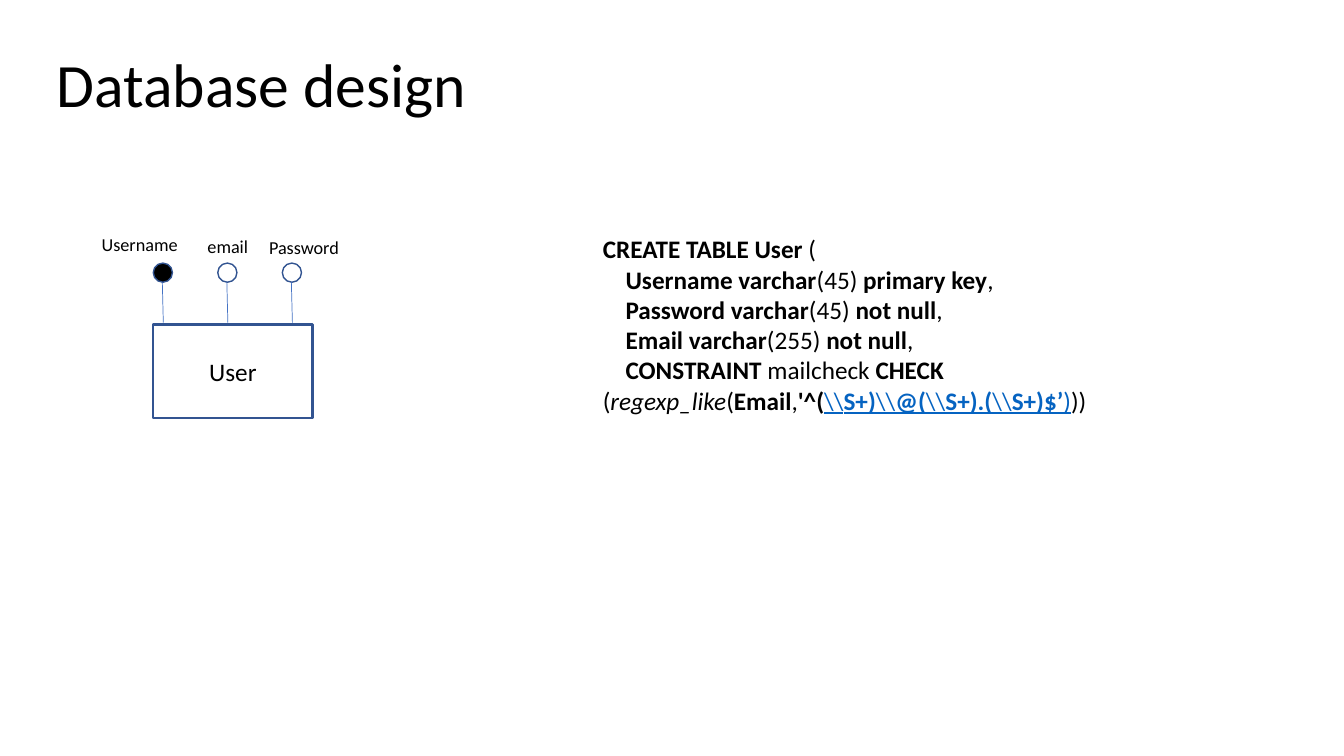
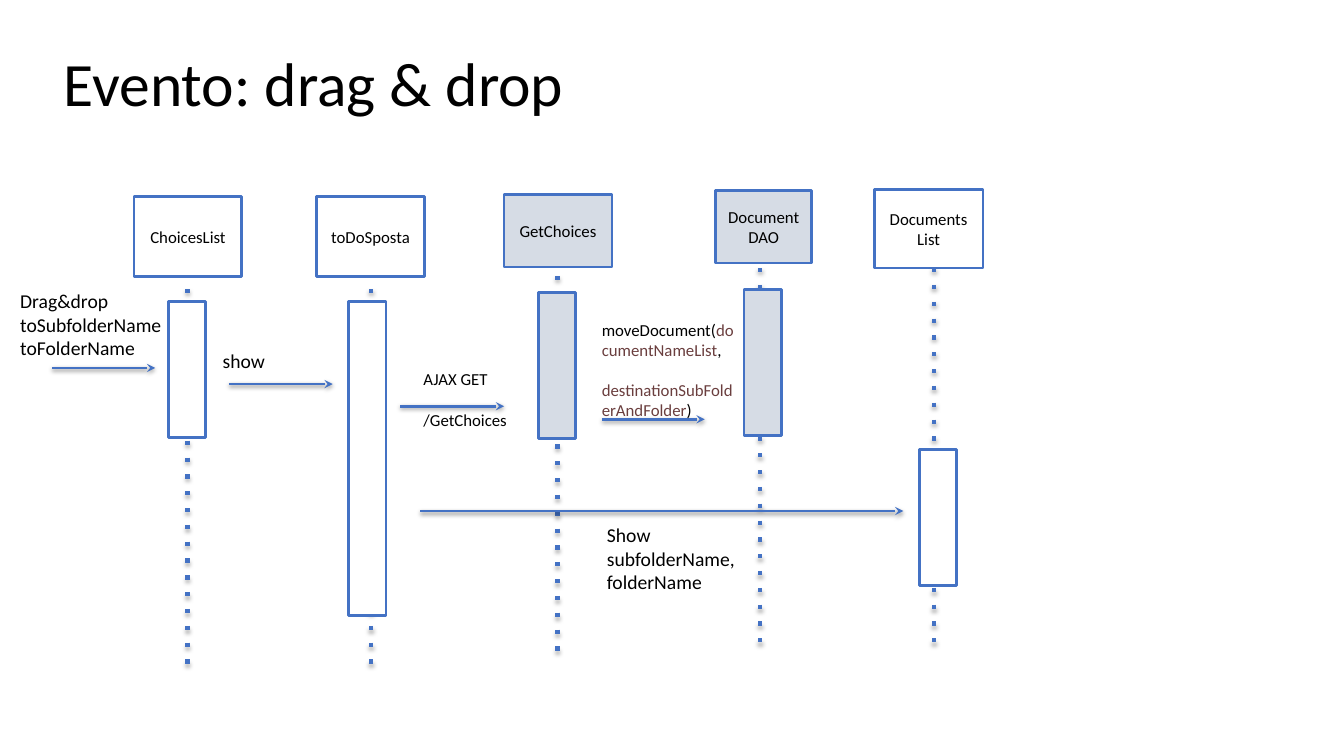
from lxml.etree import SubElement
from pptx import Presentation
from pptx.dml.color import RGBColor
from pptx.enum.shapes import MSO_CONNECTOR, MSO_SHAPE
from pptx.enum.text import MSO_ANCHOR, PP_ALIGN
from pptx.oxml import parse_xml
from pptx.oxml.ns import nsdecls, qn
from pptx.util import Inches, Pt

FONT = "Calibri"
COLORS = {
    name: RGBColor.from_string(value)
    for name, value in {
        "text": "000000",
        "paper": "FFFFFF",
        "server": "D6DCE5",
        "stroke": "4472C4",
        "entity": "325491",
        "link": "0563C1",
        "parameter": "6A3E3E",
    }.items()
}


def add_box(slide, kind, at, fill, stroke, width, text="", size=12):
    """Add an outlined shape, with centred text if there is any."""
    box = slide.shapes.add_shape(kind, *map(Inches, at))
    box.shadow.inherit = False
    if fill:
        box.fill.solid()
        box.fill.fore_color.rgb = COLORS[fill]
    else:
        box.fill.background()
    box.line.color.rgb = COLORS[stroke]
    box.line.width = Pt(width)
    if text:
        frame = box.text_frame
        frame.word_wrap = True
        frame.vertical_anchor = MSO_ANCHOR.MIDDLE
        frame.margin_left = frame.margin_right = Inches(0.12)
        frame.margin_top = frame.margin_bottom = Inches(0.06)
        paragraph = frame.paragraphs[0]
        paragraph.text = text
        paragraph.alignment = PP_ALIGN.CENTER
        paragraph.font.name = FONT
        paragraph.font.size = Pt(size)
        paragraph.font.color.rgb = COLORS["text"]


def add_line(slide, start, end, width, dotted=False, arrow=False):
    """Add a line; dotted lines and arrows cast a soft shadow."""
    line = slide.shapes.add_connector(
        MSO_CONNECTOR.STRAIGHT, *map(Inches, (*start, *end)))
    line.line.color.rgb = COLORS["stroke"]
    line.line.width = Pt(width)
    properties = line.element.spPr
    outline = properties.find(qn("a:ln"))
    if dotted:
        SubElement(outline, qn("a:prstDash"), val="dot")
    if arrow:
        SubElement(outline, qn("a:tailEnd"), type="stealth")
    shadow = ""
    if dotted or arrow:
        distance, alpha = (Pt(1.8), 35000) if dotted else (Pt(1.6), 38000)
        shadow = (
            f'<a:outerShdw blurRad="{Pt(3.1)}" dist="{distance}" dir="5400000" rotWithShape="0">'
            f'<a:srgbClr val="000000"><a:alpha val="{alpha}"/></a:srgbClr></a:outerShdw>')
    properties.append(parse_xml(f'<a:effectLst {nsdecls("a")}>{shadow}</a:effectLst>'))


prs = Presentation()
prs.slide_width, prs.slide_height = Inches(13.33), Inches(7.5)

slides = []
for heading, left, top in (("Database design", 0.46, 0.14), ("Evento: drag & drop", 0.53, 0.13)):
    slide = prs.slides.add_slide(prs.slide_layouts[5])
    title = slide.shapes.title
    title.left, title.top = Inches(left), Inches(top)
    title.width, title.height = Inches(11.5), Inches(1.45)
    title.text_frame.text = heading
    title.text_frame.vertical_anchor = MSO_ANCHOR.MIDDLE
    paragraph = title.text_frame.paragraphs[0]
    paragraph.alignment = PP_ALIGN.LEFT
    paragraph.line_spacing = 0.9
    paragraph.font.name = FONT
    paragraph.font.size = Pt(44)
    paragraph.font.color.rgb = COLORS["text"]
    slides.append(slide)
database, sequence = slides

# Entity with its three attributes
add_box(database, MSO_SHAPE.RECTANGLE, (1.52, 3.22, 1.58, 0.93), None, "entity", 1.5, "User", 18)
for column, fill in enumerate(("text", None, None)):
    left = 1.52 + 0.64 * column
    add_box(database, MSO_SHAPE.OVAL, (left, 2.61, 0.19, 0.19), fill, "entity", 1)
    add_line(database, (left + 0.09, 2.8), (left + 0.1, 3.2), 0.5)

# Participants: name, fill, header, lifeline x and top, activation bar
LIFELINE_LENGTH, BAR_WIDTH = 3.78, 0.37
participants = [
    ("ChoicesList", "paper", (1.33, 1.95, 1.07, 0.79), (1.86, 2.87), (1.67, 2.99, 1.35)),
    ("toDoSposta", "paper", (3.14, 1.95, 1.07, 0.79), (3.68, 2.87), (3.46, 2.99, 3.12)),
    ("GetChoices", "server", (5, 1.93, 1.07, 0.72), (5.53, 2.74), (5.34, 2.9, 1.45)),
    ("DocumentDAO", "server", (7.1, 1.89, 0.95, 0.72), (7.54, 2.66), (7.38, 2.87, 1.45)),
    ("DocumentsList", "paper", (8.67, 1.88, 1.08, 0.78), (9.26, 2.66), (9.12, 4.46, 1.35)),
]
for name, fill, header, (x, top), (bar_left, bar_top, bar_height) in participants:
    add_box(sequence, MSO_SHAPE.RECTANGLE, header, fill, "stroke", 2, name)
    add_line(sequence, (x, top), (x, top + LIFELINE_LENGTH), 3, dotted=True)
    bar = (bar_left, bar_top, BAR_WIDTH, bar_height)
    add_box(sequence, MSO_SHAPE.RECTANGLE, bar, fill, "stroke", 2)

for start, end, y in (
    (0.52, 1.54, 3.65), (2.27, 3.3, 3.81), (3.97, 5, 4.03), (5.97, 6.99, 4.16), (4.17, 8.96, 5.07),
):
    add_line(sequence, (start, y), (end, y), 2, arrow=True)

# Texts: slide, place, size, side inset, space between paragraphs, paragraphs.
# A paragraph is a list of (text, style) runs.
sql = [
    [("CREATE TABLE User ", "bold"), ("(", "")],
    [("    ", ""), ("Username varchar", "bold"), ("(45) ", ""), ("primary key", "bold"), (",", "")],
    [("    ", ""), ("Password varchar", "bold"), ("(45) ", ""), ("not null", "bold"), (",", "")],
    [("    ", ""), ("Email varchar", "bold"), ("(255) ", ""), ("not null", "bold"), (",", "")],
    [("    ", ""), ("CONSTRAINT ", "bold"), ("mailcheck ", ""), ("CHECK    ", "bold"),
     ("(", ""), ("regexp_like", "italic"), ("(", ""), ("Email", "bold"), (",", ""),
     ("'^(", "bold"), ("\\\\", "link"), ("S+)", "bold link"), ("\\\\", "link"),
     ("@(", "bold link"), ("\\\\", "link"), ("S+).(", "bold link"), ("\\\\", "link"),
     ("S+)$’", "bold link"), (")", "link"), ("))", "")],
]
move_document = [
    [("moveDocument(", ""), ("documentNameList", "parameter"), (",", "")],
    [("destinationSubFolderAndFolder", "parameter"), (")", "")],
]
drag = [[("Drag&drop", "")], [("toSubfolderName", "")], [("toFolderName", "")]]
request = [[("AJAX GET", "")], [("/GetChoices", "")]]
result = [[("Show", "")], [("subfolderName,", "")], [("folderName", "")]]

texts = [
    (database, (0.91, 2.27, 0.99, 0.54), 13, 0.1, 0, [[("Username", "")]]),
    (database, (1.96, 2.29, 0.77, 0.54), 13, 0.1, 0, [[("email", "")]]),
    (database, (2.57, 2.3, 0.99, 0.54), 13, 0.1, 0, [[("Password", "")]]),
    (database, (5.88, 2.27, 5.29, 2.22), 18, 0.1, 0, sql),
    (sequence, (0.08, 2.81, 1.66, 0.26), 14, 0.12, 0, drag),
    (sequence, (2.11, 3.41, 1.36, 0.34), 14, 0.1, 0, [[("show", "")]]),
    (sequence, (4.08, 3.67, 1.18, 0.05), 12, 0.12, 14.4, request),
    (sequence, (5.87, 3.12, 1.51, 0.91), 12, 0.1, 14.4, move_document),
    (sequence, (5.9, 5.13, 1.66, 0.62), 14, 0.12, 0, result),
]
for slide, place, size, inset, gap, paragraphs in texts:
    frame = slide.shapes.add_textbox(*map(Inches, place)).text_frame
    frame.word_wrap = True
    frame.margin_left = frame.margin_right = Inches(inset)
    frame.margin_top = frame.margin_bottom = Inches(inset / 2)
    for index, runs in enumerate(paragraphs):
        paragraph = frame.add_paragraph() if index else frame.paragraphs[0]
        if index and gap:
            paragraph.space_before = Pt(gap)
        paragraph.font.name = FONT
        paragraph.font.size = Pt(size)
        paragraph.font.color.rgb = COLORS["text"]
        for words, style in runs:
            run = paragraph.add_run()
            run.text = words
            if "bold" in style:
                run.font.bold = True
            if "italic" in style:
                run.font.italic = True
            if "link" in style:
                run.font.underline = True
                run.font.color.rgb = COLORS["link"]
            if "parameter" in style:
                run.font.color.rgb = COLORS["parameter"]

prs.save("out.pptx")
